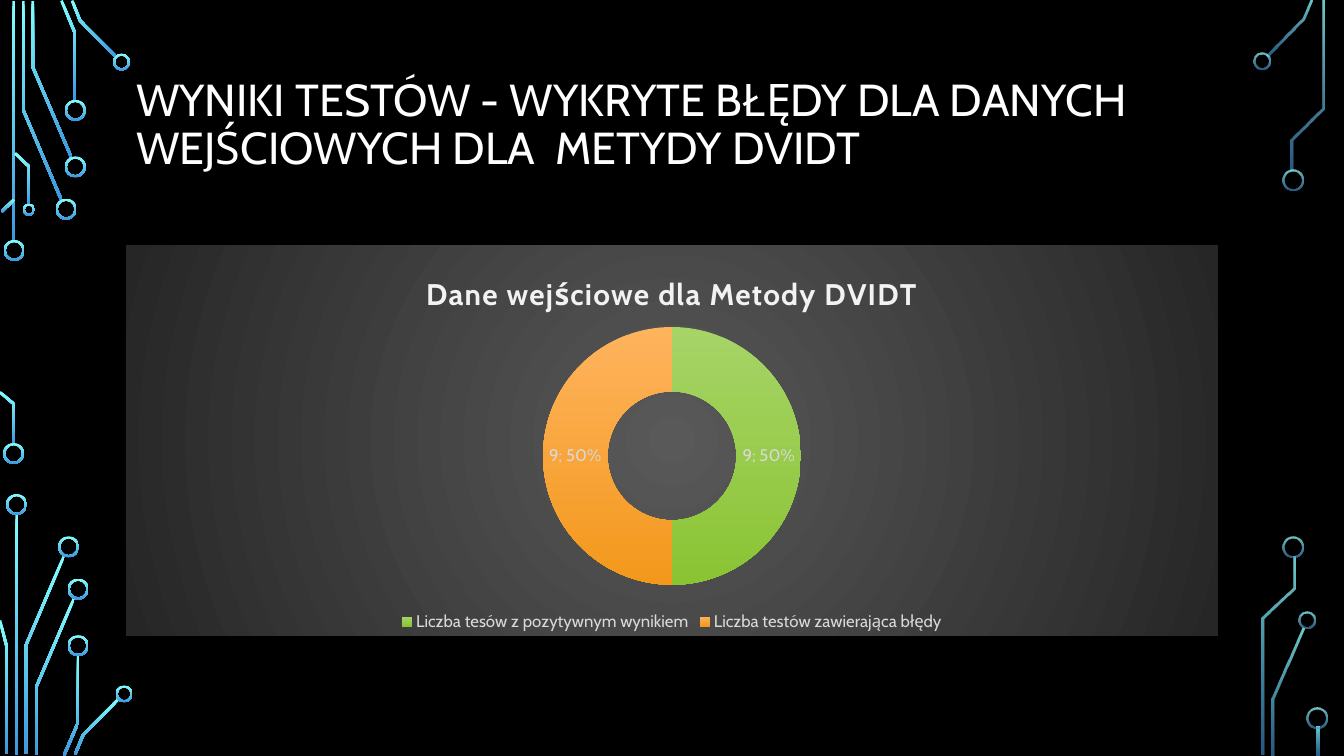
"""Build the slide on test results: circuit traces, a title and a doughnut chart."""
from dataclasses import dataclass
from math import hypot
from typing import Any

from lxml.etree import SubElement
from pptx import Presentation
from pptx.chart.data import CategoryChartData as ChartData
from pptx.dml.color import RGBColor
from pptx.enum.chart import XL_CHART_TYPE as ChartType, XL_LEGEND_POSITION as LegendPosition
from pptx.enum.shapes import MSO_AUTO_SHAPE_TYPE as Preset
from pptx.enum.text import MSO_ANCHOR as Anchor, MSO_AUTO_SIZE as AutoSize, PP_ALIGN as Align
from pptx.oxml import parse_xml
from pptx.oxml.ns import nsdecls, qn
from pptx.util import Pt

COLORS = {
    "black": "000000", "white": "FFFFFF", "label": "D9D9D9", "heading": "F2F2F2",
    "cyan": "82FFFF", "blue": "3D97DE",
    "green_top": "A6D467", "green": "8AC433", "orange_top": "FEB35D", "orange": "F3981B",
    "panel_center": "595959", "panel_edge": "262626",
}
FONT = "Cabin"
TRACE_WIDTH = 1.9
RIM_WIDTH = 1.45
SOLID, FADED = (100, 100), (80, 60)
Point = tuple[float, float]


@dataclass(frozen=True)
class Trace:
    """A circuit line given by its centre points."""
    points: tuple[Point, ...]
    alphas: tuple[int, int] = SOLID


@dataclass(frozen=True)
class Ring:
    """A circuit terminal given by its centre."""
    x: float
    y: float
    size: float = 15
    alphas: tuple[int, int] = SOLID


TRACES = (
    Trace(((9.7, 0.7), (9.7, 172.8))),
    Trace(((43.9, 142.9), (16.6, 78.5), (16.6, 0.7))),
    Trace(((51.1, 112.7), (23.4, 47.9), (23.4, 0.7))),
    Trace(((53.6, 72), (53.6, 23.8), (43.9, 0.4))),
    Trace(((83.2, 41), (57.2, 14.8), (51.5, 0.4))),
    Trace(((1.1, 151.2), (10.1, 142.6))),
    Trace(((10.1, 317.5), (10.1, 288.7), (0, 280.1))),
    Trace(((20.9, 146.2), (20.9, 119.2), (10.8, 109.4))),
    Trace(((11.9, 367.2), (11.9, 539.3))),
    Trace(((18.4, 538.6), (18.4, 461.2), (45.7, 397.1))),
    Trace(((4.7, 538.6), (4.7, 461.5), (0, 443.2))),
    Trace(((25.6, 539.3), (25.6, 491.4), (52.9, 427.3))),
    Trace(((45.7, 539.6), (55.8, 516.2), (55.8, 468))),
    Trace(((53.6, 538.9), (59.4, 524.9), (85, 499))),
    Trace(((905, 40), (930.6, 14), (936.4, 0.4)), FADED),
    Trace(((909, 539.3), (909, 499.3), (931, 448.9)), FADED),
    Trace(((923, 121.7), (923, 99.7), (945, 77.4), (945, 0.7)), FADED),
    Trace(((901.8, 539.3), (901.8, 441.7), (924.1, 420.1), (924.1, 397.4)), FADED),
    Trace(((941.4, 519.1), (941.4, 539.3)), FADED),
)
RINGS = (
    Ring(10.1, 178.9), Ring(9.7, 324), Ring(47.2, 149.4), Ring(53.8, 119.2),
    Ring(53.8, 78.8), Ring(86.8, 44.3, 12.2), Ring(20.7, 149.8, 8.8),
    Ring(11.8, 360.4), Ring(49, 390.6), Ring(55.8, 420.8), Ring(55.8, 461.2),
    Ring(88.7, 495.7, 12.2),
    Ring(901.2, 43.6, 12.2, FADED), Ring(923.4, 128.5, 15, FADED),
    Ring(933.3, 443.2, 12.2, FADED), Ring(923.8, 390.6, 15, FADED),
    Ring(940.7, 512.6, 15, FADED),
)


def color(name: str) -> RGBColor:
    """Return a named colour."""
    return RGBColor.from_string(COLORS[name])


def fill_gradient(fill: Any, top: str, bottom: str, alphas: tuple[int, int] = SOLID) -> None:
    """Fill from top to bottom with two colours."""
    fill.gradient()
    fill.gradient_angle = 270
    for stop, name, position, alpha in zip(fill.gradient_stops, (top, bottom), (0, 1), alphas):
        stop.color.rgb = color(name)
        stop.position = position
        if alpha < 100:
            value = stop.color._xFill if hasattr(stop.color, "_xFill") else stop._gs
            SubElement(value.find(qn("a:srgbClr")), qn("a:alpha"), val=str(alpha * 1000))


def style_circuit(shape: Any, alphas: tuple[int, int]) -> None:
    """Give a circuit part its gradient without outline or shadow."""
    shape.shadow.inherit = False
    shape.line.fill.background()
    fill_gradient(shape.fill, "cyan", "blue", alphas)


def offset_side(points: tuple[Point, ...], distance: float) -> list[Point]:
    """Shift a polyline sideways, with mitred corners."""
    normals = []
    for (x1, y1), (x2, y2) in zip(points, points[1:]):
        length = hypot(x2 - x1, y2 - y1)
        normals.append(((y1 - y2) / length, (x2 - x1) / length))
    side = []
    for (x, y), (ax, ay), (bx, by) in zip(points, normals[:1] + normals, normals + normals[-1:]):
        reach = distance / (1 + ax * bx + ay * by)
        side.append((x + (ax + bx) * reach, y + (ay + by) * reach))
    return side


def draw_trace(page: Any, trace: Trace) -> None:
    """Draw a circuit line as a closed outline."""
    sides = offset_side(trace.points, TRACE_WIDTH / 2) + offset_side(trace.points, -TRACE_WIDTH / 2)[::-1]
    outline = [(Pt(x), Pt(y)) for x, y in sides]
    builder = page.shapes.build_freeform(*outline[0], scale=1.0)
    builder.add_line_segments(outline[1:], close=True)
    style_circuit(builder.convert_to_shape(), trace.alphas)


def draw_ring(page: Any, ring: Ring) -> None:
    """Draw a circuit terminal."""
    corner = ring.x - ring.size / 2, ring.y - ring.size / 2
    shape = page.shapes.add_shape(Preset.DONUT, Pt(corner[0]), Pt(corner[1]), Pt(ring.size), Pt(ring.size))
    shape.adjustments[0] = RIM_WIDTH / ring.size
    style_circuit(shape, ring.alphas)


def format_font(font: Any, *, size: float, tint: str, bold: bool = False) -> None:
    """Set the typeface, size, colour and weight."""
    font.name, font.size, font.bold = FONT, Pt(size), bold
    font.color.rgb = color(tint)


def write_text(frame: Any, text: str, *, size: float, tint: str, bold: bool = False,
               spacing: float | None = None, align: Any = None, tracking: float = 0) -> None:
    """Write one formatted paragraph."""
    para = frame.paragraphs[0]
    para.alignment, para.line_spacing = align, spacing
    span = para.add_run()
    span.text = text
    format_font(span.font, size=size, tint=tint, bold=bold)
    if tracking:
        span.font._element.set("spc", str(round(tracking * 100)))


def place(element: Any, successor: str, **values: float) -> None:
    """Set a manual chart layout ahead of the successor element."""
    for old in element.findall(qn("c:layout")):
        element.remove(old)
    inner = '<c:layoutTarget val="inner"/>' if "w" in values else ""
    modes = "".join(f'<c:{key}Mode val="edge"/>' for key in ("x", "y"))
    sizes = "".join(f'<c:{key} val="{value}"/>' for key, value in values.items())
    layout = parse_xml(f'<c:layout {nsdecls("c")}><c:manualLayout>{inner}{modes}{sizes}'
                       '</c:manualLayout></c:layout>')
    element.find(qn(successor)).addprevious(layout)


def draw_chart(page: Any) -> None:
    """Draw the doughnut chart on its dark panel."""
    data = ChartData()
    data.categories = ["Liczba tesów z pozytywnym wynikiem", "Liczba testów zawierająca błędy"]
    data.add_series("Series 1", (9, 9))
    chart = page.shapes.add_chart(ChartType.DOUGHNUT, Pt(90), Pt(175), Pt(780), Pt(279), data).chart
    format_font(chart.font, size=10, tint="white")
    stops = "".join(f'<a:gs pos="{pos}"><a:srgbClr val="{COLORS[name]}"/></a:gs>'
                    for pos, name in ((0, "panel_center"), (100000, "panel_edge")))
    panel = parse_xml(f'<c:spPr {nsdecls("c", "a")}><a:gradFill><a:gsLst>{stops}</a:gsLst>'
                      '<a:path path="circle"><a:fillToRect l="50000" t="50000" r="50000" b="50000"/>'
                      '</a:path></a:gradFill><a:ln><a:noFill/></a:ln></c:spPr>')
    chart._chartSpace.find(qn("c:txPr")).addprevious(panel)

    chart.has_title = True
    write_text(chart.chart_title.text_frame, "Dane wejściowe dla Metody DVIDT",
               size=21.3, tint="heading", bold=True, tracking=1)
    place(chart.chart_title._element, "c:overlay", x=0.27, y=0.06)

    chart.has_legend = True
    chart.legend.position = LegendPosition.BOTTOM
    chart.legend.include_in_layout = False
    format_font(chart.legend.font, size=12, tint="label")

    plot = chart.plots[0]
    plot.vary_by_categories = True
    plot._element.find(qn("c:holeSize")).set("val", "75")
    place(chart._chartSpace.chart.plotArea, "c:doughnutChart", x=0.38, y=0.21, w=0.24, h=0.66)
    for index, name in enumerate(("green", "orange")):
        shape_format = plot.series[0].points[index].format
        fill_gradient(shape_format.fill, f"{name}_top", name)
        shape_format.line.fill.background()
    labels = plot.series[0].data_labels
    labels.show_value = labels.show_percentage = True
    format_font(labels.font, size=12, tint="label")
    separator = parse_xml(f'<c:separator {nsdecls("c")}>; </c:separator>')
    labels._element.find(qn("c:showBubbleSize")).addnext(separator)


def main() -> None:
    """Assemble and save the deck."""
    deck = Presentation()
    deck.slide_width, deck.slide_height = Pt(960), Pt(540)
    page = deck.slides.add_slide(deck.slide_layouts[5])
    page.background.fill.solid()
    page.background.fill.fore_color.rgb = color("black")
    for trace in TRACES:
        draw_trace(page, trace)
    for ring in RINGS:
        draw_ring(page, ring)
    box = page.shapes.title
    box.left, box.top, box.width, box.height = Pt(90), Pt(49), Pt(780), Pt(116.6)
    frame = box.text_frame
    frame.word_wrap, frame.auto_size = True, AutoSize.NONE
    frame.vertical_anchor, frame.margin_bottom = Anchor.MIDDLE, Pt(38)
    write_text(frame, "WYNIKI TESTÓW - WYKRYTE BŁĘDY DLA DANYCH WEJŚCIOWYCH DLA  METYDY DVIDT",
               size=32, tint="white", spacing=0.9, align=Align.LEFT)
    draw_chart(page)
    deck.save("out.pptx")


if __name__ == "__main__":
    main()
